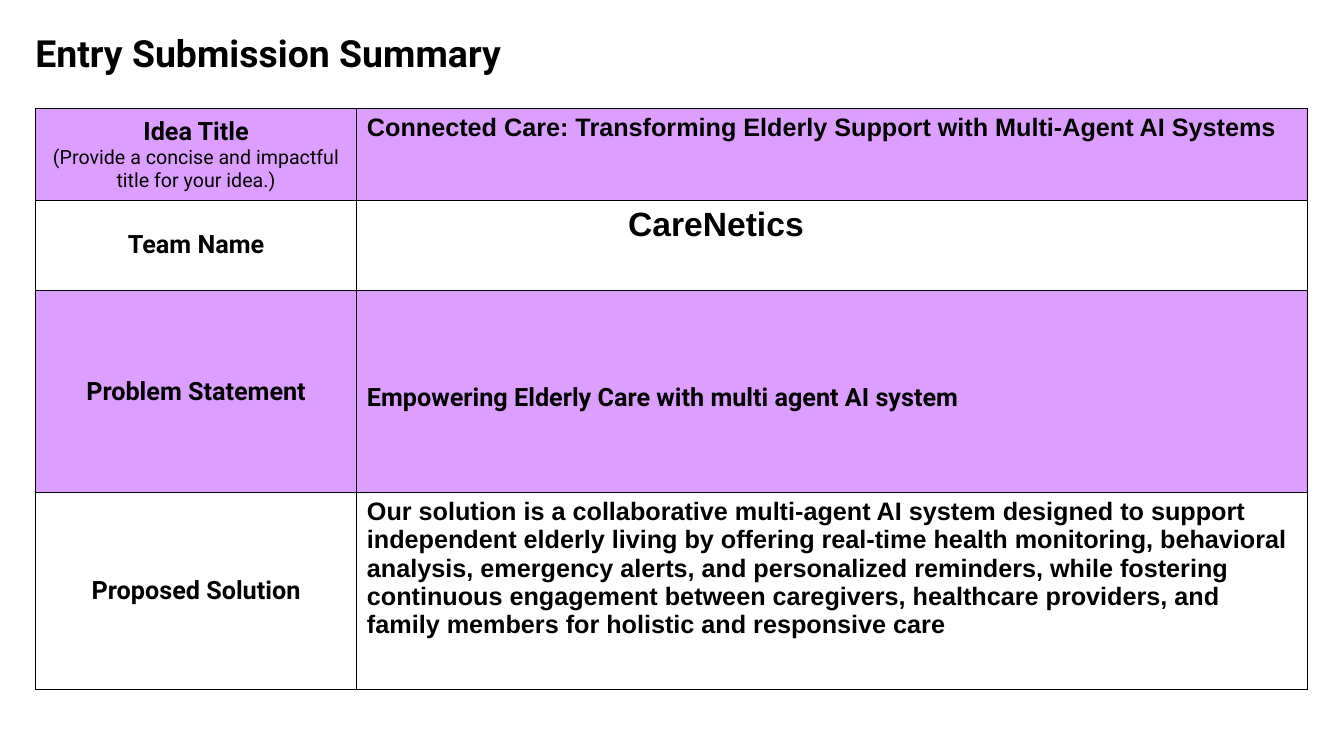
from lxml import etree
from pptx import Presentation
from pptx.dml.color import RGBColor
from pptx.enum.text import MSO_ANCHOR, PP_ALIGN
from pptx.oxml import parse_xml
from pptx.util import Inches, Pt

CENTER, LEFT = PP_ALIGN.CENTER, PP_ALIGN.LEFT
MIDDLE, TOP = MSO_ANCHOR.MIDDLE, MSO_ANCHOR.TOP
BLACK = RGBColor(0x00, 0x00, 0x00)
WHITE = RGBColor(0xFF, 0xFF, 0xFF)
LILAC = RGBColor(0xDD, 0x9F, 0xFF)
DRAWING_NS = "http://schemas.openxmlformats.org/drawingml/2006/main"


def add_run(paragraph, text, **font_values):
    run = paragraph.add_run()
    run.text = text
    run.font.color.rgb = BLACK
    for name, value in font_values.items():
        setattr(run.font, name, value)


def add_borders(cell):
    properties = cell._tc.get_or_add_tcPr()
    for side in ("lnL", "lnR", "lnT", "lnB"):
        properties.append(parse_xml(
            f'<a:{side} xmlns:a="{DRAWING_NS}" w="{Pt(1)}"><a:solidFill>'
            f'<a:srgbClr val="{BLACK}"/></a:solidFill></a:{side}>'))


prs = Presentation()
prs.slide_width, prs.slide_height = Inches(13.33), Inches(7.5)
slide = prs.slides.add_slide(prs.slide_layouts[6])

heading = slide.shapes.add_textbox(
    Inches(0.35), Inches(0.39), Inches(12.29), Inches(0.93)).text_frame
heading_format = {
    "word_wrap": True, "margin_left": 0, "margin_top": 0,
    "margin_right": Inches(0.13), "margin_bottom": 0,
}
for name, value in heading_format.items():
    setattr(heading, name, value)
heading.paragraphs[0].line_spacing = 0.8
add_run(heading.paragraphs[0], "Entry Submission Summary",
        name="Roboto", size=Pt(26.7), bold=True)

entries = [
    ("Idea Title", "(Provide a concise and impactful title for your idea.)", 0.91,
     "Connected Care: Transforming Elderly Support with Multi-Agent AI Systems",
     "Arial", 18, {}),
    ("Team Name", "", 0.89, "CareNetics", "Arial", 24,
     {"margin_left": Inches(2.69)}),
    ("Problem Statement", "", 2.01,
     "Empowering Elderly Care with multi agent AI system",
     "Roboto", 18, {"margin_top": Inches(0.92)}),
    ("Proposed Solution", "", 1.95,
     "Our solution is a collaborative multi-agent AI system designed to support "
     "independent elderly living by offering real-time health monitoring, "
     "behavioral analysis, emergency alerts, and personalized reminders, while "
     "fostering continuous engagement between caregivers, healthcare providers, "
     "and family members for holistic and responsive care",
     "Arial", 18, {}),
]

summary = slide.shapes.add_table(
    len(entries), 2, Inches(0.35), Inches(1.08), Inches(12.62), Inches(5.76)).table
summary.columns[0].width = Inches(3.19)
summary.columns[1].width = Inches(9.43)

for index, (label, hint, height, answer, font, size, margins) in enumerate(entries):
    summary.rows[index].height = Inches(height)
    label_cell, answer_cell = summary.cell(index, 0), summary.cell(index, 1)
    for cell, anchor, alignment in ((label_cell, MIDDLE, CENTER),
                                    (answer_cell, TOP, LEFT)):
        add_borders(cell)
        cell.fill.solid()
        cell.fill.fore_color.rgb = WHITE if index % 2 else LILAC
        cell.vertical_anchor = anchor
        cell.text_frame.paragraphs[0].alignment = alignment

    label_line = label_cell.text_frame.paragraphs[0]
    add_run(label_line, label, name="Roboto", size=Pt(18), bold=True)
    if hint:
        label_line.add_line_break()
        add_run(label_line, hint, name="Roboto", size=Pt(14), bold=False)

    for name, value in margins.items():
        setattr(answer_cell, name, value)
    add_run(answer_cell.text_frame.paragraphs[0], answer,
            name=font, size=Pt(size), bold=True)

prs.save("out.pptx")
